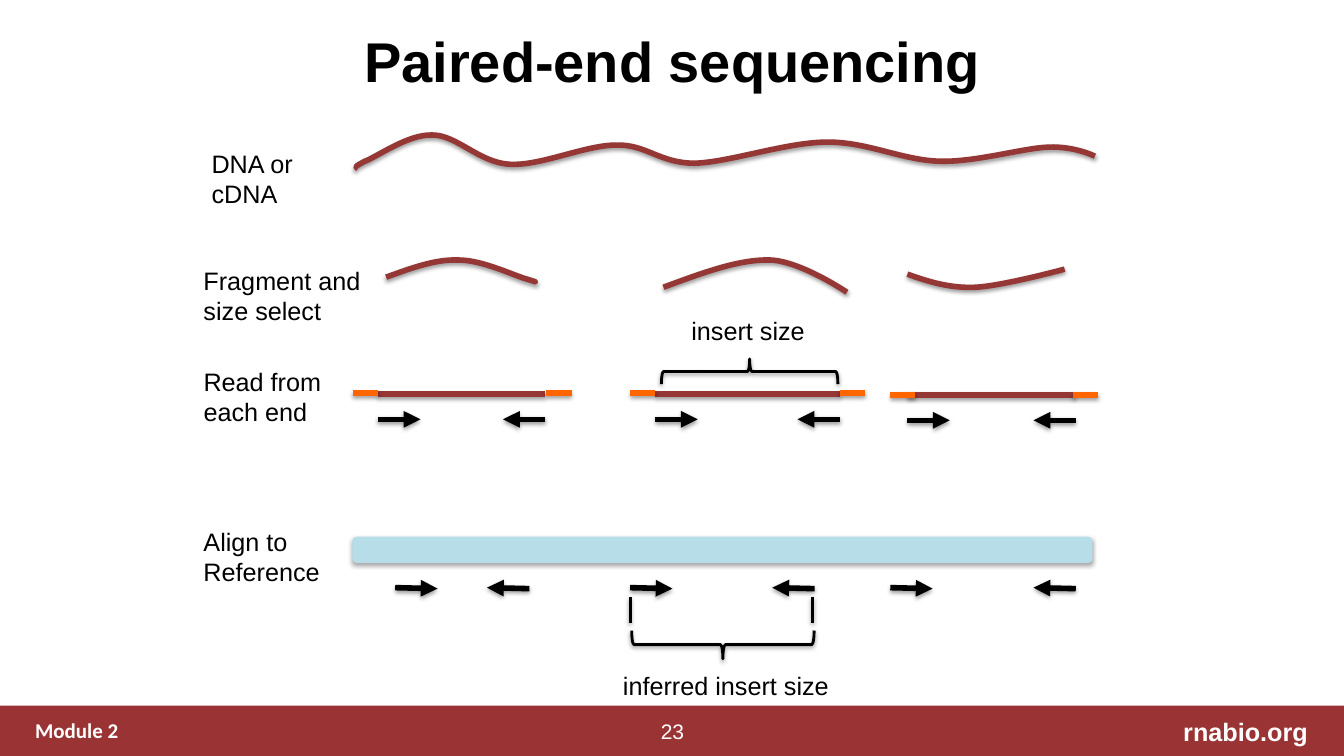
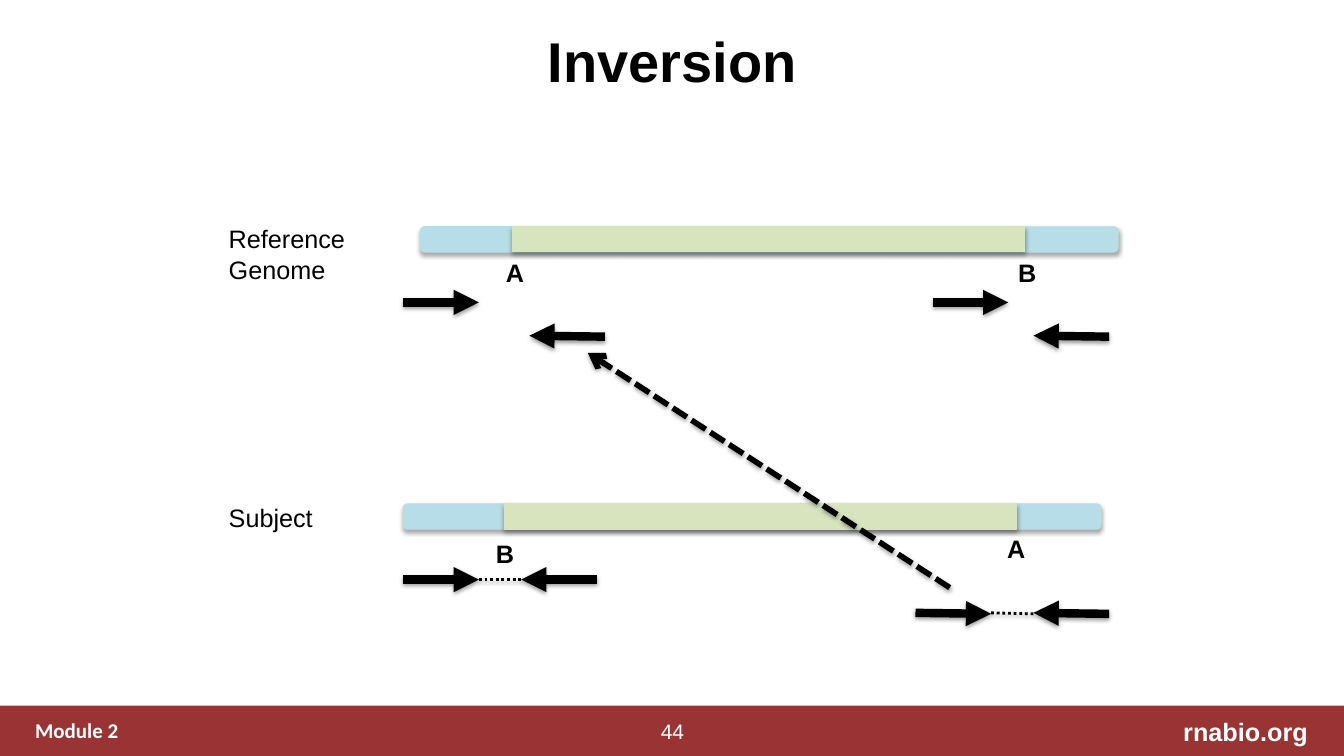
from dataclasses import dataclass
from typing import NamedTuple, Optional

from lxml.etree import SubElement
from pptx import Presentation
from pptx.dml.color import RGBColor
from pptx.enum.dml import MSO_LINE
from pptx.enum.shapes import MSO_CONNECTOR, MSO_SHAPE
from pptx.enum.text import MSO_ANCHOR, PP_ALIGN
from pptx.oxml.ns import qn
from pptx.slide import Slide
from pptx.util import Inches, Pt


@dataclass(frozen=True)
class Theme:
    band: RGBColor = RGBColor(0x9A, 0x33, 0x34)
    strand: RGBColor = RGBColor(0x95, 0x37, 0x35)
    adapter: RGBColor = RGBColor(0xFF, 0x66, 0x00)
    genome: RGBColor = RGBColor(0xB7, 0xDE, 0xE8)
    segment: RGBColor = RGBColor(0xD7, 0xE4, 0xBD)
    ink: RGBColor = RGBColor(0, 0, 0)
    white: RGBColor = RGBColor(0xFF, 0xFF, 0xFF)
    font: str = "Arial"
    module_font: str = "Calibri"
    title_size: float = 40
    body_size: float = 18
    footer_size: float = 15
    thin: float = 2
    thick: float = 4
    heavy: float = 6


THEME = Theme()
SLIDE_WIDTH, SLIDE_HEIGHT = 13.33, 7.5
BAR_HEIGHT = 0.25
ADAPTER_LENGTH = 0.25
SHORT_READ, LONG_READ = 0.42, 0.75
TILT = 0.01


class Point(NamedTuple):
    x: float
    y: float


class Box(NamedTuple):
    left: float
    top: float
    width: float
    height: float


class Label(NamedTuple):
    text: str
    box: Box
    align: PP_ALIGN = PP_ALIGN.LEFT
    size: float = THEME.body_size
    color: RGBColor = THEME.ink
    bold: bool = False
    font: str = THEME.font
    wrap: bool = True
    anchor: MSO_ANCHOR = MSO_ANCHOR.TOP


class ReadPair(NamedTuple):
    """Two reads that point at each other; tilt lowers the right end of each."""
    start: float
    end: float
    y: float
    tilt: float = 0


class Fragment(NamedTuple):
    reads: ReadPair
    adapters: tuple[Point, Point]


class Genome(NamedTuple):
    box: Box
    segment_left: float
    breakpoints: tuple[Label, Label]


FOOTER = [
    Label("Module 2", Box(0.25, 7.07, 9.78, 0.35), size=THEME.footer_size,
          color=THEME.white, bold=True, font=THEME.module_font),
    Label("rnabio.org", Box(9.63, 7.06, 3.44, 0.4), PP_ALIGN.RIGHT,
          color=THEME.white, bold=True),
]

# Each curve is a start point followed by triples of Bézier points.
STRANDS = [
    [(3.55, 1.67), (3.53, 1.66), (3.5, 1.66), (3.62, 1.6),
     (3.75, 1.55), (4.05, 1.33), (4.29, 1.34),
     (4.53, 1.34), (4.75, 1.61), (5.05, 1.63),
     (5.36, 1.65), (5.8, 1.44), (6.11, 1.44),
     (6.41, 1.43), (6.54, 1.62), (6.89, 1.62),
     (7.24, 1.61), (7.8, 1.41), (8.21, 1.41),
     (8.61, 1.41), (8.95, 1.59), (9.32, 1.6),
     (9.68, 1.61), (10.14, 1.47), (10.4, 1.46),
     (10.66, 1.45), (10.86, 1.55), (10.86, 1.55)],
    [(3.83, 2.75), (4.08, 2.66), (4.32, 2.57), (4.55, 2.58),
     (4.79, 2.58), (5.11, 2.74), (5.23, 2.77),
     (5.36, 2.81), (5.29, 2.79), (5.29, 2.79)],
    [(9, 2.72), (9.2, 2.79), (9.41, 2.86), (9.67, 2.85),
     (9.93, 2.84), (10.56, 2.67), (10.56, 2.67)],
    [(6.58, 2.85), (6.96, 2.71), (7.33, 2.57), (7.64, 2.58),
     (7.94, 2.59), (8.4, 2.9), (8.4, 2.9)],
]

SEQUENCING_LABELS = [
    Label("Read from each end", Box(1.92, 3.58, 1.42, 0.71)),
    Label("DNA or cDNA", Box(2, 1.42, 1.25, 0.71)),
    Label("insert size", Box(6.75, 3.08, 1.34, 0.4), PP_ALIGN.CENTER, wrap=False),
    Label("inferred insert size", Box(6.07, 6.6, 2.26, 0.4), PP_ALIGN.CENTER, wrap=False),
    Label("Align to Reference", Box(1.92, 5.17, 1.43, 0.71)),
    Label("Fragment and size select", Box(1.92, 2.58, 1.76, 0.71)),
]
FRAGMENTS = [
    Fragment(ReadPair(3.75, 5.41, 3.91), (Point(3.5, 3.9), Point(5.42, 3.9))),
    Fragment(ReadPair(6.5, 8.33, 3.91), (Point(6.25, 3.9), Point(8.33, 3.9))),
    Fragment(ReadPair(9, 10.67, 3.92), (Point(8.83, 3.92), Point(10.64, 3.92))),
]
ALIGNED_READS = [
    ReadPair(3.92, 5.25, 5.83, TILT),
    ReadPair(6.25, 8.08, 5.83, TILT),
    ReadPair(8.83, 10.67, 5.83, TILT),
]


def breakpoint_label(text: str, left: float, top: float) -> Label:
    return Label(text, Box(left, top, 0.38, 0.4), bold=True, wrap=False)


INVERSION_LABELS = [
    Label("Reference Genome", Box(2.17, 2.17, 1.42, 0.71)),
    Label("Subject", Box(2.17, 4.93, 1.42, 0.4)),
]
GENOMES = [
    Genome(Box(4.17, 2.25, 6.92, BAR_HEIGHT), 5.08,
           (breakpoint_label("A", 4.92, 2.5), breakpoint_label("B", 10, 2.5))),
    Genome(Box(4, 5, 6.92, BAR_HEIGHT), 5,
           (breakpoint_label("B", 4.82, 5.29), breakpoint_label("A", 9.89, 5.24))),
]
SUBJECT_READS = [ReadPair(4, 5.92, 5.75), ReadPair(9.08, 11, 6.08, TILT)]
REFERENCE_READS = [
    (Point(4, 3), Point(4.75, 3)),
    (Point(9.25, 3), Point(10, 3)),
    (Point(11, 3.34), Point(10.25, 3.33)),
    (Point(6, 3.34), Point(5.25, 3.33)),
]


def cast_shadow(shape, opacity: int = 38) -> None:
    """Add a soft shadow below; call it after the line is set."""
    effects = SubElement(shape._element.spPr, qn("a:effectLst"))
    shadow = SubElement(effects, qn("a:outerShdw"), blurRad=str(Pt(3.1)),
                        dist=str(Pt(1.6)), dir="5400000", rotWithShape="0")
    color = SubElement(shadow, qn("a:srgbClr"), val=str(THEME.ink))
    SubElement(color, qn("a:alpha"), val=str(opacity * 1000))


def add_label(slide: Slide, label: Label) -> None:
    shape = slide.shapes.add_textbox(*map(Inches, label.box))
    text_frame = shape.text_frame
    text_frame.text = label.text
    text_frame.word_wrap = label.wrap
    text_frame.vertical_anchor = label.anchor
    paragraph = text_frame.paragraphs[0]
    paragraph.alignment = label.align
    font = paragraph.runs[0].font
    font.name, font.size, font.bold = label.font, Pt(label.size), label.bold
    font.color.rgb = label.color


def add_line(slide: Slide, start: Point, end: Point, width: float,
             color: RGBColor = THEME.ink, head: Optional[str] = None,
             dash: Optional[MSO_LINE] = None) -> None:
    connector = slide.shapes.add_connector(
        MSO_CONNECTOR.STRAIGHT, *map(Inches, (*start, *end)))
    connector.line.color.rgb = color
    connector.line.width = Pt(width)
    if dash is not None:
        connector.line.dash_style = dash
    if head is not None:
        SubElement(connector.line._get_or_add_ln(), qn("a:tailEnd"), type=head)
    cast_shadow(connector)


def add_read_pair(slide: Slide, pair: ReadPair, length: float, width: float) -> None:
    low = pair.y + pair.tilt
    add_line(slide, Point(pair.start, pair.y), Point(pair.start + length, low),
             width, head="triangle")
    add_line(slide, Point(pair.end, low), Point(pair.end - length, pair.y),
             width, head="triangle")


def add_bar(slide: Slide, box: Box, color: RGBColor,
            preset: MSO_SHAPE = MSO_SHAPE.ROUNDED_RECTANGLE) -> None:
    shape = slide.shapes.add_shape(preset, *map(Inches, box))
    shape.fill.solid()
    shape.fill.fore_color.rgb = color
    shape.line.color.rgb = color
    shape.line.width = Pt(0.75)
    cast_shadow(shape, opacity=35)


def draw_outline(shape, color: RGBColor, width: float) -> None:
    shape.fill.background()
    shape.line.color.rgb = color
    shape.line.width = Pt(width)
    cast_shadow(shape)


def add_brace(slide: Slide, box: Box, rotation: float) -> None:
    shape = slide.shapes.add_shape(MSO_SHAPE.LEFT_BRACE, *map(Inches, box))
    shape.rotation = rotation
    draw_outline(shape, THEME.ink, THEME.thin)


def add_strand(slide: Slide, controls: list[tuple[float, float]]) -> None:
    """Draw a chain of cubic Bézier curves through the control points."""
    start, *others = [tuple(map(Inches, point)) for point in controls]
    builder = slide.shapes.build_freeform(*start)
    builder.add_line_segments(others, close=False)
    shape = builder.convert_to_shape()
    outline = next(shape._element.iter(qn("a:path")))
    segments = outline.findall(qn("a:lnTo"))
    for first in range(0, len(segments), 3):
        curve = SubElement(outline, qn("a:cubicBezTo"))
        for segment in segments[first:first + 3]:
            curve.append(segment[0])
            outline.remove(segment)
    draw_outline(shape, THEME.strand, THEME.thick)


def add_framed_slide(presentation: Presentation, title: str, number: int) -> Slide:
    """Add a blank slide with the shared title, band and footer."""
    slide = presentation.slides.add_slide(presentation.slide_layouts[6])
    band = slide.shapes.add_shape(
        MSO_SHAPE.RECTANGLE, *map(Inches, (0, 7, SLIDE_WIDTH, SLIDE_HEIGHT - 7)))
    band.fill.solid()
    band.fill.fore_color.rgb = THEME.band
    band.line.fill.background()
    band.shadow.inherit = False
    page = Label(str(number), Box(6.44, 7.08, 0.46, 0.35), PP_ALIGN.CENTER,
                 THEME.footer_size, THEME.white, wrap=False, anchor=MSO_ANCHOR.MIDDLE)
    heading = Label(title, Box(1.83, -0.03, 9.67, 1.25), PP_ALIGN.CENTER,
                    THEME.title_size, bold=True, anchor=MSO_ANCHOR.MIDDLE)
    for label in (*FOOTER, page, heading):
        add_label(slide, label)
    return slide


def build_sequencing(presentation: Presentation) -> None:
    slide = add_framed_slide(presentation, "Paired-end sequencing", 23)
    for controls in STRANDS:
        add_strand(slide, controls)
    for reads, adapters in FRAGMENTS:
        add_line(slide, Point(reads.start, reads.y), Point(reads.end, reads.y),
                 THEME.thick, THEME.strand)
        add_read_pair(slide, reads._replace(y=reads.y + 0.25), SHORT_READ, THEME.thick)
        for left, y in adapters:
            add_line(slide, Point(left, y), Point(left + ADAPTER_LENGTH, y),
                     THEME.thick, THEME.adapter)
    add_brace(slide, Box(7.31, 2.81, 0.25, 1.75), 90)
    add_bar(slide, Box(3.5, 5.33, 7.33, BAR_HEIGHT), THEME.genome)
    for pair in ALIGNED_READS:
        add_read_pair(slide, pair, SHORT_READ, THEME.thick)
    for x in (6.25, 8.06):
        add_line(slide, Point(x, 5.92), Point(x, 6.18), THEME.thin)
    add_brace(slide, Box(7.03, 5.49, 0.28, 1.81), 270)
    for label in SEQUENCING_LABELS:
        add_label(slide, label)


def build_inversion(presentation: Presentation) -> None:
    slide = add_framed_slide(presentation, "Inversion", 44)
    for genome in GENOMES:
        add_bar(slide, genome.box, THEME.genome)
        add_bar(slide, genome.box._replace(left=genome.segment_left, width=5.08),
                THEME.segment, MSO_SHAPE.RECTANGLE)
        for label in genome.breakpoints:
            add_label(slide, label)
    for label in INVERSION_LABELS:
        add_label(slide, label)
    for pair in SUBJECT_READS:
        add_read_pair(slide, pair, LONG_READ, THEME.heavy)
        add_line(slide, Point(pair.start + LONG_READ, pair.y),
                 Point(pair.end - LONG_READ, pair.y + pair.tilt),
                 THEME.thin, dash=MSO_LINE.ROUND_DOT)
    for start, end in REFERENCE_READS:
        add_line(slide, start, end, THEME.heavy, head="triangle")
    add_line(slide, Point(9.42, 5.83), Point(5.83, 3.5), THEME.thick,
             head="arrow", dash=MSO_LINE.SQUARE_DOT)


def main() -> None:
    presentation = Presentation()
    presentation.slide_width = Inches(SLIDE_WIDTH)
    presentation.slide_height = Inches(SLIDE_HEIGHT)
    build_sequencing(presentation)
    build_inversion(presentation)
    presentation.save("out.pptx")


if __name__ == "__main__":
    main()
